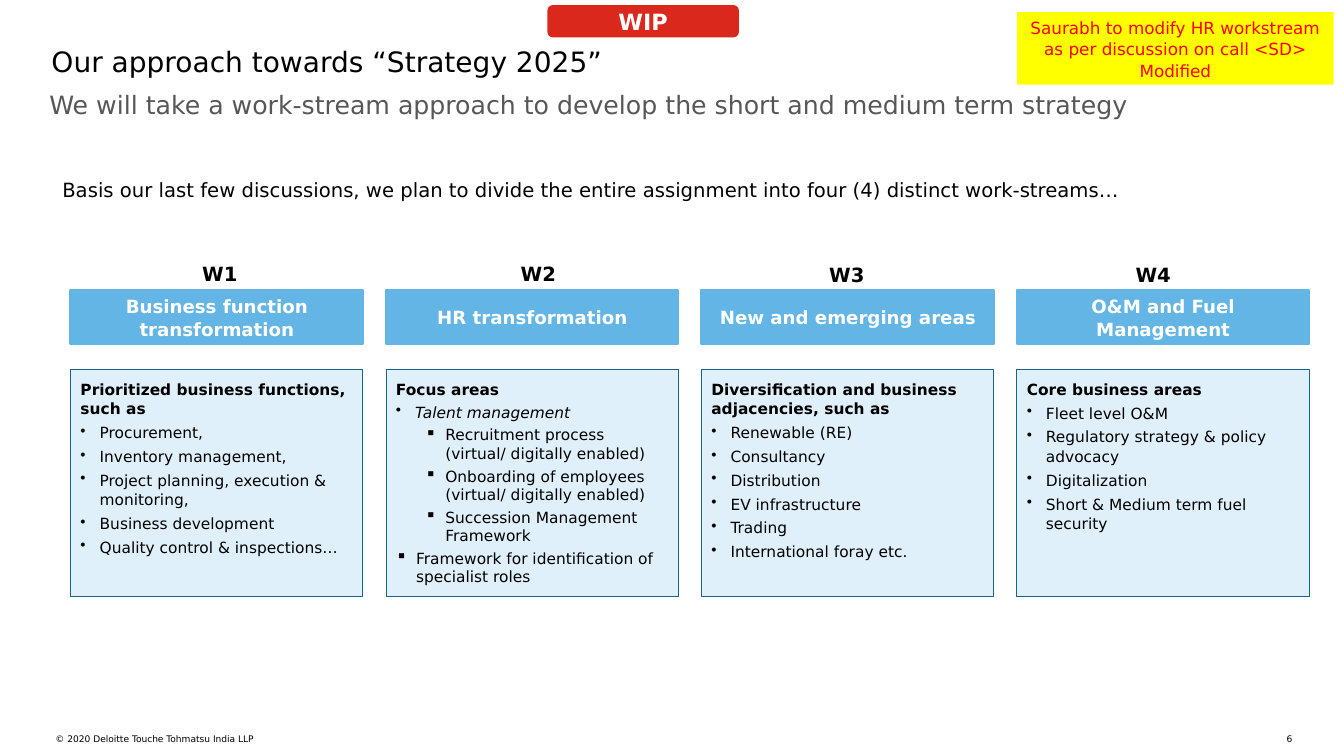
from dataclasses import dataclass
from typing import NamedTuple

from lxml.etree import SubElement as Sub
from pptx import Presentation
from pptx.dml.color import RGBColor
from pptx.enum.shapes import MSO_SHAPE as Form
from pptx.enum.text import MSO_ANCHOR as Anchor, PP_ALIGN as Align
from pptx.oxml.ns import qn
from pptx.util import Inches, Pt

WIDE, HIGH = Inches(13.33), Inches(7.5)
FONT = "DejaVu Sans"
LEFT, STEP, SPAN = 5.25, 23.47, 21.75
HEAD_Y, HEAD_H = 38.4, 7.07
BODY_Y, BODY_H = 48.8, 30.13


class Area(NamedTuple):
    x: float
    y: float
    w: float
    h: float


@dataclass(frozen=True)
class Look:
    size: float
    ink: str = "000000"
    bold: bool = False
    slant: bool = False
    align: Align = Align.LEFT
    lines: float = 1.0
    mark: str = ""
    pad: float = 0.0
    hang: float = 0.0
    level: int = 0


@dataclass(frozen=True)
class Paint:
    fill: str
    edge: str = ""
    width: float = 0.0


class Line(NamedTuple):
    text: str
    look: Look


class Label(NamedTuple):
    area: Area
    line: Line
    inset: tuple[float, float]


class Stream(NamedTuple):
    tag: str
    tag_x: float
    tag_y: float
    name: str
    lines: list[Line]


TAG = Look(14, bold=True, align=Align.CENTER)
HEAD = Look(13, "FFFFFF", bold=True, align=Align.CENTER, lines=1.06)
LEAD = Look(11, bold=True, lines=1.06)
DOT = Look(11, lines=1.06, mark="•", pad=0.19, hang=0.19)
THEME = Look(11, slant=True, mark="•", pad=0.19, hang=0.19)
NEST = Look(11, mark="▪", pad=0.49, hang=0.2, level=1)
SQUARE = Look(11, mark="▪", pad=0.2, hang=0.2)
BLUE = Paint("62B5E5", "62B5E5", 1.5)
PALE = Paint("E0F0FA", "17618C", 0.5)
NONE, EVEN, SLIM = (0, 0), (0.1, 0.1), (0.1, 0.05)

LABELS = [
    Label(Area(93.6, 97.07, 2.55, 1.47), Line("6", Look(6.5, align=Align.RIGHT)), NONE),
    Label(Area(4.13, 97.07, 43.95, 2.93),
          Line("© 2020 Deloitte Touche Tohmatsu India LLP", Look(6.5)), NONE),
    Label(Area(3.83, 5.87, 92.33, 10.13),
          Line("Our approach towards “Strategy 2025”", Look(20)), NONE),
    Label(Area(2.93, 11.2, 91.88, 7.2),
          Line("We will take a work-stream approach to develop the short and medium term strategy",
               Look(18, "575757")), SLIM),
    Label(Area(3.9, 22.93, 93.53, 4.53),
          Line("Basis our last few discussions, we plan to divide the entire assignment "
               "into four (4) distinct work-streams…", Look(14)), SLIM),
]

STREAMS = [
    Stream("W1", 13.73, 34.67, "Business function transformation", [
        Line("Prioritized business functions, such as", LEAD),
        Line("Procurement,", DOT),
        Line("Inventory management,", DOT),
        Line("Project planning, execution & monitoring,", DOT),
        Line("Business development", DOT),
        Line("Quality control & inspections…", DOT),
    ]),
    Stream("W2", 37.43, 34.67, "HR transformation", [
        Line("Focus areas", LEAD),
        Line("Talent management", THEME),
        Line("Recruitment process (virtual/ digitally enabled)", NEST),
        Line("Onboarding of employees (virtual/ digitally enabled)", NEST),
        Line("Succession Management Framework", NEST),
        Line("Framework for identification of specialist roles", SQUARE),
    ]),
    Stream("W3", 60.38, 34.8, "New and emerging areas", [
        Line("Diversification and business adjacencies, such as", LEAD),
        Line("Renewable (RE)", DOT),
        Line("Consultancy", DOT),
        Line("Distribution", DOT),
        Line("EV infrastructure", DOT),
        Line("Trading", DOT),
        Line("International foray etc.", DOT),
    ]),
    Stream("W4", 83.18, 34.8, "O&M and Fuel Management", [
        Line("Core business areas", LEAD),
        Line("Fleet level O&M", DOT),
        Line("Regulatory strategy & policy advocacy", DOT),
        Line("Digitalization", DOT),
        Line("Short & Medium term fuel security", DOT),
    ]),
]


def tint(code: str) -> RGBColor:
    return RGBColor.from_string(code)


def place(area: Area) -> tuple[int, int, int, int]:
    return (int(WIDE * area.x / 100), int(HIGH * area.y / 100),
            int(WIDE * area.w / 100), int(HIGH * area.h / 100))


def write(frame, lines: list[Line], inset: tuple[float, float], anchor: Anchor) -> None:
    frame.word_wrap = True
    frame.vertical_anchor = anchor
    frame.margin_left = frame.margin_right = Inches(inset[0])
    frame.margin_top = frame.margin_bottom = Inches(inset[1])
    for rank, (text, look) in enumerate(lines):
        para = frame.add_paragraph() if rank else frame.paragraphs[0]
        para.alignment = look.align
        para.line_spacing = look.lines
        para.space_before = Pt(3 if rank else 0)
        para.level = look.level
        if look.mark:
            props = para._p.get_or_add_pPr()
            props.set("marL", str(Inches(look.pad)))
            props.set("indent", str(-Inches(look.hang)))
            Sub(props, qn("a:buChar")).set("char", look.mark)
        run = para.add_run()
        run.text = text
        font = run.font
        font.name, font.size = FONT, Pt(look.size)
        font.bold, font.italic = look.bold, look.slant
        font.color.rgb = tint(look.ink)


def label(slide, item: Label) -> None:
    box = slide.shapes.add_textbox(*place(item.area))
    write(box.text_frame, [item.line], item.inset, Anchor.TOP)


def block(slide, area: Area, paint: Paint, lines: list[Line],
          form: Form = Form.RECTANGLE, anchor: Anchor = Anchor.MIDDLE) -> None:
    shape = slide.shapes.add_shape(form, *place(area))
    shape.shadow.inherit = False
    shape.fill.solid()
    shape.fill.fore_color.rgb = tint(paint.fill)
    if paint.edge:
        shape.line.color.rgb = tint(paint.edge)
        shape.line.width = Pt(paint.width)
    else:
        shape.line.fill.background()
    write(shape.text_frame, lines, EVEN, anchor)


def main() -> None:
    deck = Presentation()
    deck.slide_width, deck.slide_height = WIDE, HIGH
    slide = deck.slides.add_slide(deck.slide_layouts[6])
    for item in LABELS:
        label(slide, item)
    for rank, stream in enumerate(STREAMS):
        x = LEFT + rank * STEP
        block(slide, Area(x, HEAD_Y, SPAN, HEAD_H), BLUE, [Line(stream.name, HEAD)])
        label(slide, Label(Area(stream.tag_x, stream.tag_y, 5.25, 3.2),
                           Line(stream.tag, TAG), NONE))
        block(slide, Area(x, BODY_Y, SPAN, BODY_H), PALE, stream.lines, anchor=Anchor.TOP)
    badge = Look(16, "FFFFFF", bold=True, align=Align.CENTER, lines=1.06)
    block(slide, Area(40.73, 0.67, 14.25, 4.27), Paint("DA291C"),
          [Line("WIP", badge)], Form.ROUNDED_RECTANGLE)
    note = Look(12, "FF0000", align=Align.CENTER, lines=1.06)
    block(slide, Area(75.68, 1.6, 23.55, 9.6), Paint("FFFF00"),
          [Line("Saurabh to modify HR workstream as per discussion on call <SD> Modified", note)])
    deck.save("out.pptx")


if __name__ == "__main__":
    main()
